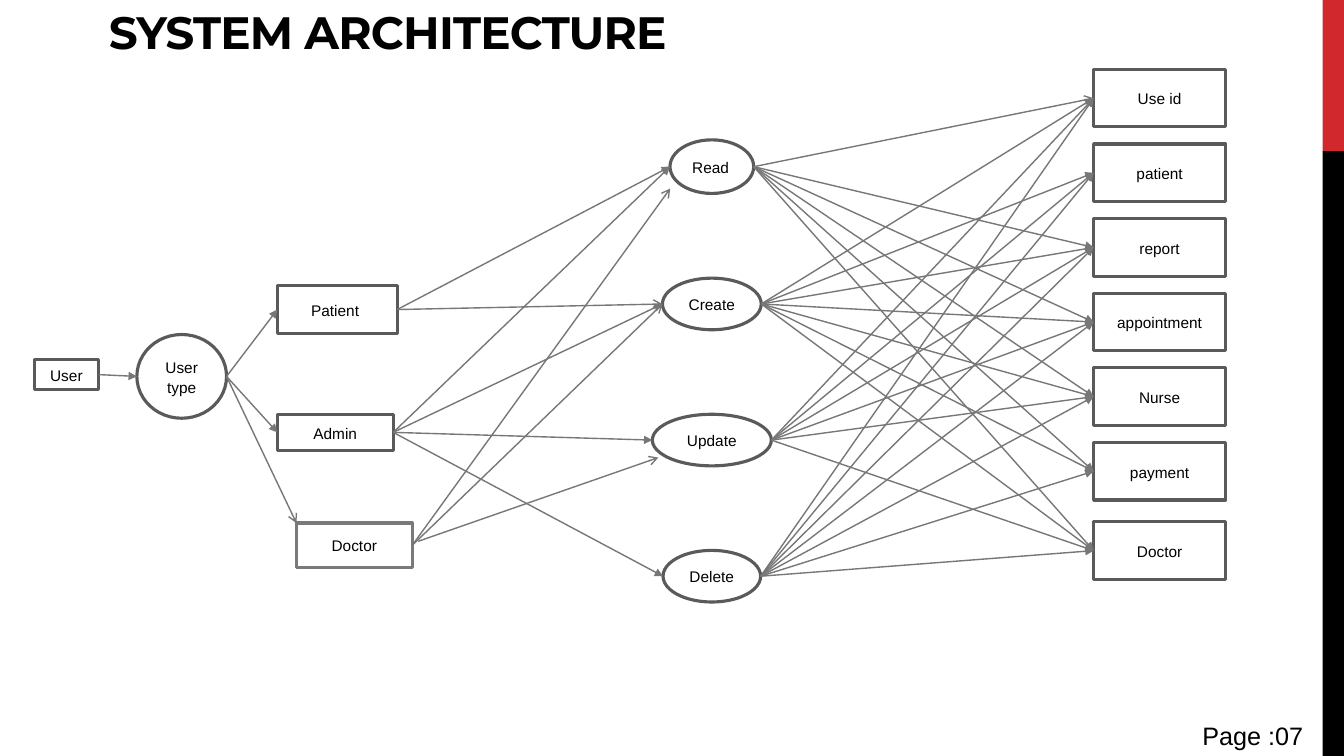
from lxml import etree
from pptx import Presentation
from pptx.dml.color import RGBColor
from pptx.enum.shapes import MSO_CONNECTOR, MSO_SHAPE
from pptx.enum.text import MSO_ANCHOR, MSO_AUTO_SIZE, PP_ALIGN
from pptx.oxml.ns import qn
from pptx.util import Cm, Pt

RECT, OVAL = MSO_SHAPE.RECTANGLE, MSO_SHAPE.OVAL
STRAIGHT = MSO_CONNECTOR.STRAIGHT
LEFT, CENTER = PP_ALIGN.LEFT, PP_ALIGN.CENTER
MIDDLE, BOTTOM = MSO_ANCHOR.MIDDLE, MSO_ANCHOR.BOTTOM
LEFT_SIDE, RIGHT_SIDE = 1, 3
TITLE_ONLY = 5


def colour(hex_text):
    return RGBColor.from_string(hex_text)


def write(frame, text, size=11, font="Arial", ink="000000", bold=False,
          align=CENTER, line_spacing=None, after=0, tracking=None):
    para = frame.paragraphs[0]
    para.alignment = align
    para.space_after = Pt(after)
    if line_spacing:
        para.line_spacing = line_spacing
    span = para.add_run()
    span.text = text
    span.font.size, span.font.name, span.font.bold = Pt(size), font, bold
    span.font.color.rgb = colour(ink)
    if tracking:
        span.font._element.set("spc", str(tracking))


class Diagram:
    """Style of the diagram and the page it is drawn on."""

    outline, link_ink = "5A5A5A", "777777"

    def __init__(self, page):
        self.page = page

    def title(self, text, left, top, width, height):
        box = self.page.shapes.title
        box.left, box.top = Cm(left), Cm(top)
        box.width, box.height = Cm(width), Cm(height)
        frame = box.text_frame
        frame.auto_size = MSO_AUTO_SIZE.NONE
        frame.vertical_anchor = BOTTOM
        write(frame, text, size=32.4, font="Montserrat", bold=True,
              align=LEFT, tracking=-60)

    def label(self, text, left, top, width, height):
        box = self.page.shapes.add_textbox(Cm(left), Cm(top), Cm(width), Cm(height))
        box.text_frame.word_wrap = True
        box.text_frame.auto_size = MSO_AUTO_SIZE.SHAPE_TO_FIT_TEXT
        write(box.text_frame, text, size=18, align=LEFT)

    def shape(self, kind, left, top, width, height, fill="FFFFFF", line=None):
        box = self.page.shapes.add_shape(kind, Cm(left), Cm(top), Cm(width), Cm(height))
        box.shadow.inherit = False
        if fill:
            box.fill.solid()
            box.fill.fore_color.rgb = colour(fill)
        else:
            box.fill.background()
        if line:
            box.line.color.rgb = colour(line)
            box.line.width = Pt(2.25)
        else:
            box.line.fill.background()
        return box

    def node(self, kind, text, left, top, width, height, fill="FFFFFF",
             line=outline, align=CENTER, line_spacing=1.07, after=8):
        box = self.shape(kind, left, top, width, height, fill, line)
        box.text_frame.word_wrap = True
        box.text_frame.vertical_anchor = MIDDLE
        write(box.text_frame, text, align=align, line_spacing=line_spacing, after=after)
        return box

    def arrow(self, start, end, head="triangle"):
        """Each end is a node, met at mid-side, or an (x, y) point in cm."""
        points = []
        for target, share in ((start, 1), (end, 0)):
            if isinstance(target, tuple):
                points += [Cm(value) for value in target]
            else:
                points += [target.left + share * target.width,
                           target.top + target.height // 2]
        link = self.page.shapes.add_connector(STRAIGHT, *points)
        # Only rectangles number their sides 0 to 3
        if not isinstance(start, tuple) and start.auto_shape_type == RECT:
            link.begin_connect(start, RIGHT_SIDE)
        if not isinstance(end, tuple) and end.auto_shape_type == RECT:
            link.end_connect(end, LEFT_SIDE)
        link.line.color.rgb = colour(self.link_ink)
        link.line.width = Pt(1)
        etree.SubElement(link.line._get_or_add_ln(), qn("a:tailEnd"), type=head)
        etree.SubElement(link._element.spPr, qn("a:effectLst"))


def main():
    deck = Presentation()
    deck.slide_width, deck.slide_height = Cm(33.87), Cm(19.05)
    diagram = Diagram(deck.slides.add_slide(deck.slide_layouts[TITLE_ONLY]))

    # Side band, title and page number
    diagram.shape(RECT, 33.33, 0, 0.54, 3.81, fill="D1282E")
    diagram.shape(RECT, 33.33, 3.81, 0.54, 15.24, fill="000000")
    diagram.title("SYSTEM ARCHITECTURE", 2.49, -0.05, 28.78, 1.65)
    diagram.label("Page :07", 30.05, 18.03, 3.15, 1.02)

    # Users and their types
    user = diagram.node(RECT, "User", 0.86, 9.07, 1.63, 0.74)
    user_type = diagram.node(OVAL, "User type", 3.45, 8.43, 2.26, 2.11)
    patient = diagram.node(RECT, "Patient ", 6.99, 7.19, 3.02, 1.22)
    admin = diagram.node(RECT, "Admin", 6.99, 10.44, 2.92, 0.91)
    doctor = diagram.node(RECT, "Doctor", 7.47, 13.18, 2.92, 1.12, fill=None,
                          line="7A7A7A", line_spacing=None, after=0)

    # Operations share one centre line
    operations = {}
    for name, middle, width, height, align in (
            ("Read", 4.2, 2.11, 1.35, LEFT), ("Create", 7.66, 2.49, 1.3, CENTER),
            ("Update", 11.09, 3, 1.3, CENTER), ("Delete", 14.52, 2.46, 1.3, CENTER)):
        operations[name] = diagram.node(OVAL, name, 17.94 - width / 2,
                                        middle - height / 2, width, height, align=align)

    # Records in an even column, the last one set slightly lower
    names = ("Use id", "patient", "report", "appointment", "Nurse", "payment", "Doctor")
    records = {}
    for row, name in enumerate(names):
        top = 13.15 if name == "Doctor" else 1.75 + 1.88 * row
        records[name] = diagram.node(RECT, name, 27.56, top, 3.33, 1.45)

    # Every operation reaches every record, with two exceptions
    skipped = {("Read", "patient"), ("Update", "payment")}
    for operation, source in operations.items():
        for record, target in records.items():
            if (operation, record) not in skipped:
                is_open = (operation, record) == ("Read", "Use id")
                diagram.arrow(source, target, "arrow" if is_open else "triangle")

    # Users to types, and types to operations
    diagram.arrow(user, user_type)
    for target in (patient, admin):
        diagram.arrow(user_type, target)
    diagram.arrow(patient, operations["Read"])
    for target in operations.values():
        diagram.arrow(admin, target)
    for start, end in ((user_type, (7.47, 13.18)),
                       (patient, operations["Create"]),
                       (doctor, (16.89, 4.75)),
                       ((10.54, 13.64), (16.59, 11.53)),
                       (doctor, operations["Create"])):
        diagram.arrow(start, end, "arrow")

    deck.save("out.pptx")


if __name__ == "__main__":
    main()
